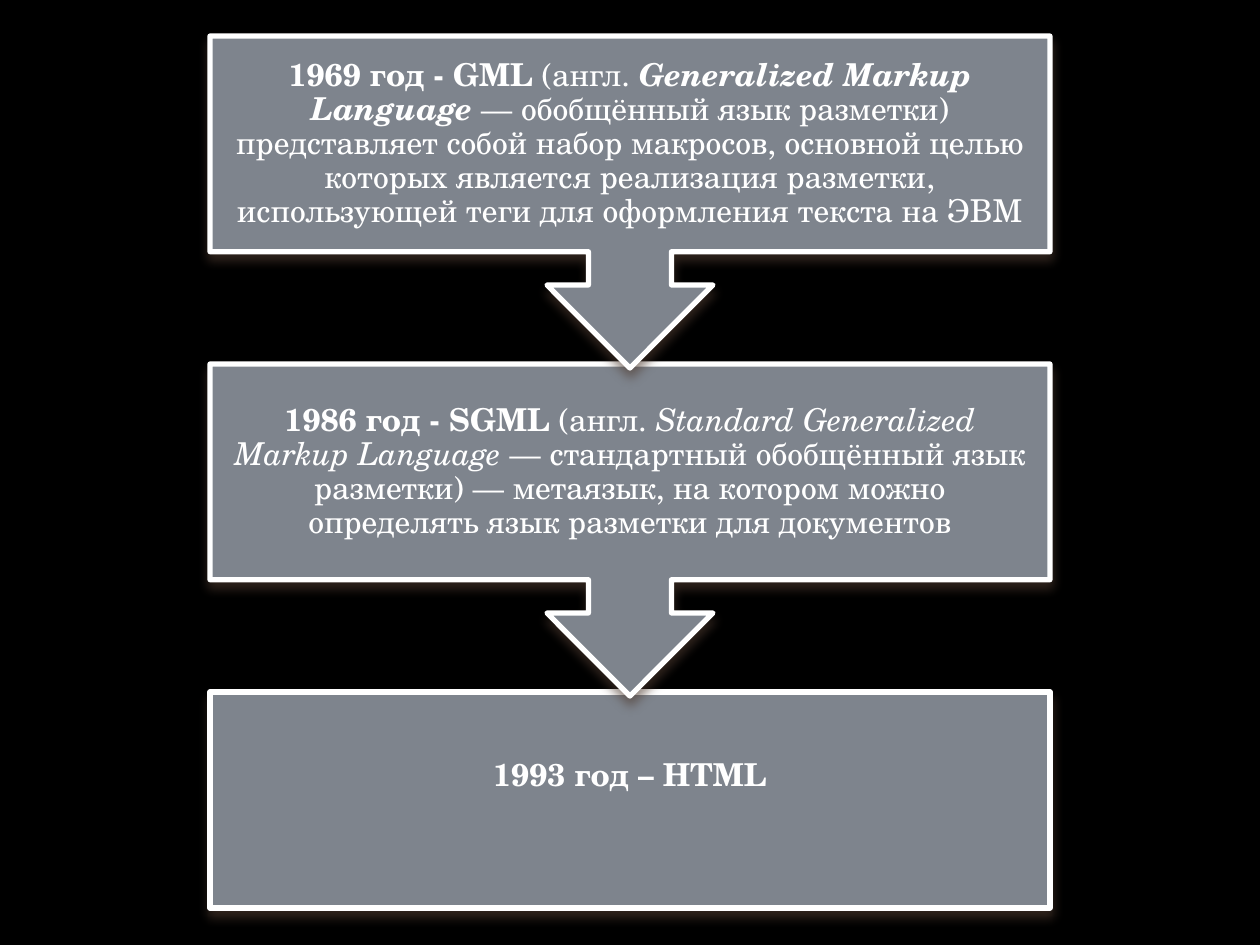
from lxml import etree
from pptx import Presentation
from pptx.dml.color import RGBColor
from pptx.enum.shapes import MSO_SHAPE as Preset
from pptx.enum.text import MSO_ANCHOR as Anchor, PP_ALIGN as Align
from pptx.oxml import parse_xml
from pptx.oxml.ns import nsdecls
from pptx.util import Pt

PX = 7257.14  # EMU in one pixel, 126 pixels to the inch
BLACK = RGBColor(0x00, 0x00, 0x00)
WHITE = RGBColor(0xFF, 0xFF, 0xFF)
SLATE = RGBColor(0x7E, 0x84, 0x8D)
SHADOW = RGBColor(0x4E, 0x3B, 0x30)
FONT = "TeX Gyre Schola"

LEFT, TOP, WIDTH, PITCH = 210, 36, 840, 328
BOX_HEIGHT, CALLOUT_HEIGHT = 216, 332
INSET, LAST_BOTTOM_INSET = 18, 66

# Each span: text, bold, italic
GML = [
    ("1969 год - GML", True, False),
    (" (англ. ", False, False),
    ("Generalized Markup Language", True, True),
    (" — обобщённый язык разметки) представляет собой набор макросов, "
     "основной целью которых является реализация разметки, "
     "использующей теги для оформления текста на ЭВМ", False, False),
]
SGML = [
    ("1986 год - SGML", True, False),
    (" (англ. ", False, False),
    ("Standard Generalized Markup Language", False, True),
    (" — стандартный обобщённый язык разметки) — метаязык, "
     "на котором можно определять язык разметки для документов", False, False),
]
HTML = [("1993 год – HTML", True, False)]


def px(length):
    return round(length * PX)


def add_shadow(shape):
    """Give the shape a soft shadow that falls straight down."""
    shape.shadow.inherit = False
    effects = shape.fill._xPr.find("{*}effectLst")
    effects.append(parse_xml(
        f'<a:outerShdw {nsdecls("a")} blurRad="{Pt(6)}" dist="{Pt(4)}" '
        f'dir="5400000" rotWithShape="0"><a:srgbClr val="{SHADOW}">'
        '<a:alpha val="60000"/></a:srgbClr></a:outerShdw>'))


def write_spans(shape, spans, bottom_inset):
    frame = shape.text_frame
    frame.word_wrap = True
    frame.vertical_anchor = Anchor.MIDDLE
    frame.margin_left = frame.margin_right = frame.margin_top = px(INSET)
    frame.margin_bottom = px(bottom_inset)
    para = frame.paragraphs[0]
    para.alignment = Align.CENTER
    para.line_spacing = 0.9
    para.font.name = FONT
    para.font.size = Pt(18)
    para.font.color.rgb = WHITE
    for text, bold, italic in spans:
        span = para.add_run()
        span.text = text
        span.font.name = FONT
        span.font.size = Pt(18)
        span.font.color.rgb = WHITE
        span.font.bold = bold
        span.font.italic = italic


def add_step(page, preset, index, height, spans, bottom_inset=INSET):
    step = page.shapes.add_shape(
        preset, px(LEFT), px(TOP + index * PITCH), px(WIDTH), px(height))
    step.fill.solid()
    step.fill.fore_color.rgb = SLATE
    step.line.color.rgb = WHITE
    step.line.width = Pt(3)
    add_shadow(step)
    write_spans(step, spans, bottom_inset)


def main():
    deck = Presentation()
    deck.slide_width, deck.slide_height = px(1260), px(945)
    page = deck.slides.add_slide(deck.slide_layouts[6])
    page.background.fill.solid()
    page.background.fill.fore_color.rgb = BLACK

    # Last step first, so that each arrow tip lies over the next box
    add_step(page, Preset.RECTANGLE, 2, BOX_HEIGHT, HTML, LAST_BOTTOM_INSET)
    for index, spans in ((1, SGML), (0, GML)):
        add_step(page, Preset.DOWN_ARROW_CALLOUT, index, CALLOUT_HEIGHT, spans)
    deck.save("out.pptx")


if __name__ == "__main__":
    main()
